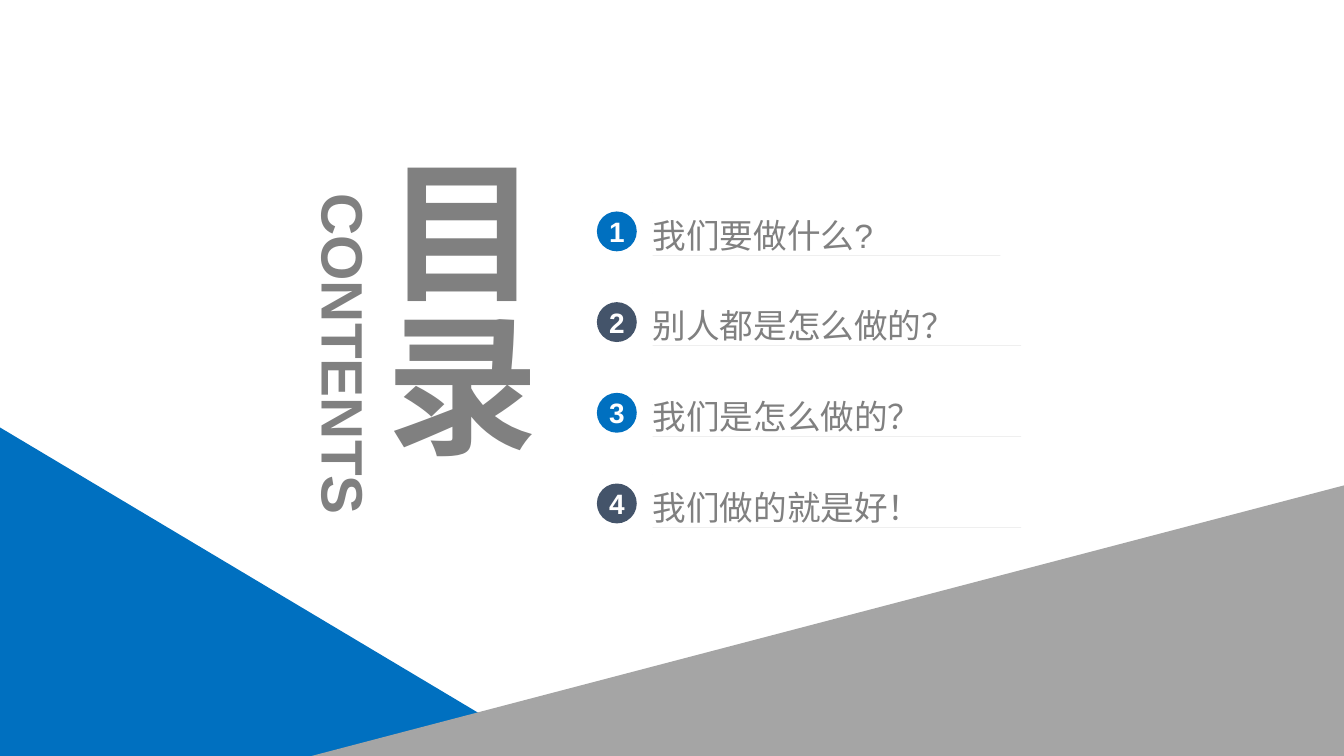
from dataclasses import dataclass

from pptx import Presentation
from pptx.dml.color import RGBColor
from pptx.enum.shapes import MSO_SHAPE
from pptx.enum.text import MSO_ANCHOR, MSO_AUTO_SIZE, PP_ALIGN
from pptx.util import Cm, Pt


@dataclass(frozen=True)
class Theme:
    font: str = "Arial"
    text: str = "808080"
    white: str = "FFFFFF"
    blue: str = "0070C0"
    navy: str = "44546A"
    gray: str = "A5A5A5"
    title_size: float = 115
    subtitle_size: float = 44
    number_size: float = 21.1
    entry_size: float = 25.3


THEME = Theme()
WIDTH, HEIGHT = 35.71, 20.09
FIRST_TOP, ENTRY_STEP = 5.38, 2.41
ENTRY_LEFT, ENTRY_HEIGHT = 17.34, 1.4
BADGE_LEFT, BADGE_SIZE, BADGE_DROP = 15.86, 1.06, 0.24

# Entry wording and the length of the rule below it
ENTRIES = [
    ("我们要做什么?", 9.24),
    ("别人都是怎么做的？", 9.79),
    ("我们是怎么做的？", 9.79),
    ("我们做的就是好！", 9.79),
]


def rgb(color):
    return RGBColor.from_string(color)


def write(shape, text, size, color=THEME.text, bold=True,
          align=PP_ALIGN.CENTER, anchor=MSO_ANCHOR.MIDDLE, spacing=1.0):
    frame = shape.text_frame
    frame.text = text
    frame.word_wrap = True
    frame.auto_size = MSO_AUTO_SIZE.NONE
    frame.vertical_anchor = anchor
    frame.margin_left = frame.margin_right = 0
    frame.margin_top = frame.margin_bottom = 0
    paragraph = frame.paragraphs[0]
    paragraph.alignment = align
    paragraph.line_spacing = spacing
    font = paragraph.runs[0].font
    font.name = THEME.font
    font.size = Pt(size)
    font.bold = bold
    font.color.rgb = rgb(color)


def paint(shape, color):
    shape.shadow.inherit = False
    shape.fill.solid()
    shape.fill.fore_color.rgb = rgb(color)
    shape.line.fill.background()


def add_title(slide):
    title = slide.shapes.title
    title.left, title.top = Cm(9.7), Cm(4.13)
    title.width, title.height = Cm(4.93), Cm(10.54)
    write(title, "目录", THEME.title_size)
    title.text_frame._txBody.bodyPr.set("vert", "eaVert")


def add_subtitle(slide):
    subtitle = slide.shapes.add_textbox(Cm(4.57), Cm(8.47), Cm(9.17), Cm(1.88))
    subtitle.rotation = 90
    write(subtitle, "CONTENTS", THEME.subtitle_size, anchor=MSO_ANCHOR.TOP)


def add_badge(slide, number, top, color):
    badge = slide.shapes.add_shape(MSO_SHAPE.OVAL, Cm(BADGE_LEFT), Cm(top),
                                   Cm(BADGE_SIZE), Cm(BADGE_SIZE))
    paint(badge, color)
    write(badge, str(number), THEME.number_size, THEME.white)


def add_outline(slide, contours, color):
    """Add one filled freeform made of closed contours, given in cm."""
    first, *rest = [[(Cm(x), Cm(y)) for x, y in points] for points in contours]
    builder = slide.shapes.build_freeform(*first[0])
    builder.add_line_segments(first[1:], close=True)
    for points in rest:
        builder.move_to(*points[0])
        builder.add_line_segments(points[1:], close=True)
    outline = builder.convert_to_shape()
    paint(outline, color)
    return outline


def add_entry(slide, number, wording, length):
    """Add a badge and a wording box whose outline is only its bottom edge."""
    top = FIRST_TOP + (number - 1) * ENTRY_STEP
    add_badge(slide, number, top + BADGE_DROP,
              THEME.blue if number % 2 else THEME.navy)
    corner = (ENTRY_LEFT, top)
    bottom = top + ENTRY_HEIGHT
    rule = [(ENTRY_LEFT, bottom), (ENTRY_LEFT + length, bottom),
            (ENTRY_LEFT, bottom)]
    entry = add_outline(slide, [rule, [corner, corner]], THEME.text)
    write(entry, wording, THEME.entry_size, bold=False,
          align=PP_ALIGN.LEFT, spacing=1.3)


def main():
    deck = Presentation()
    deck.slide_width, deck.slide_height = Cm(WIDTH), Cm(HEIGHT)
    slide = deck.slides.add_slide(deck.slide_layouts.get_by_name("Title Only"))

    add_title(slide)
    add_subtitle(slide)
    for number, (wording, length) in enumerate(ENTRIES, start=1):
        add_entry(slide, number, wording, length)
    add_outline(slide, [[(0, 11.36), (14.63, HEIGHT), (0, HEIGHT)]], THEME.blue)
    add_outline(slide, [[(WIDTH, 12.9), (WIDTH, HEIGHT), (8.28, HEIGHT)]],
                THEME.gray)

    deck.save("out.pptx")


if __name__ == "__main__":
    main()
